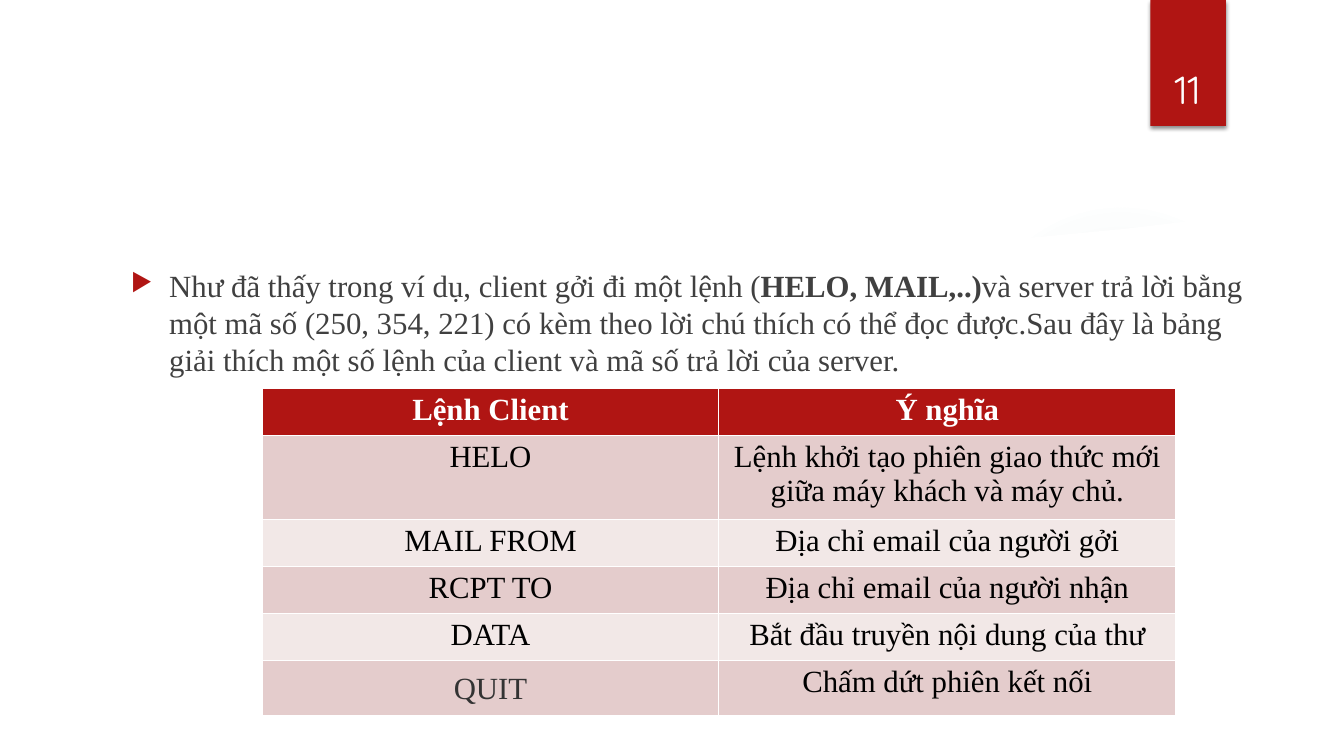
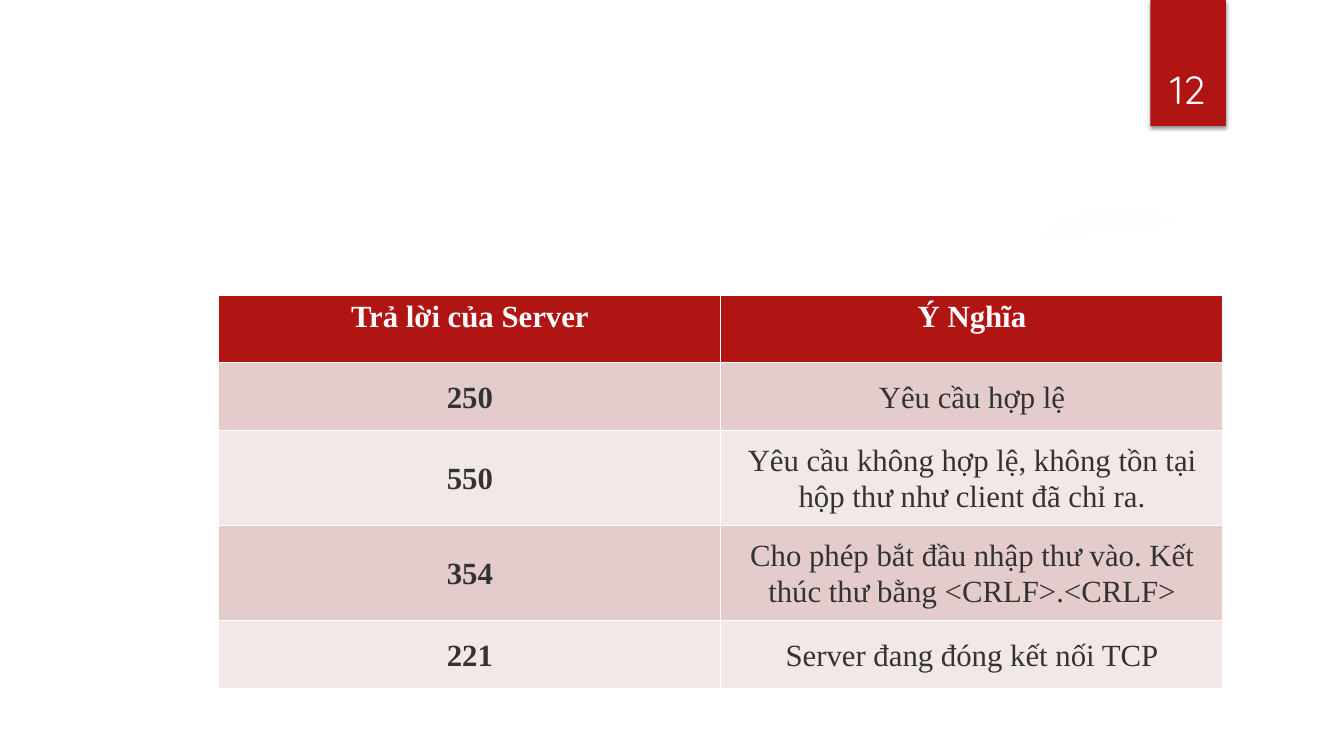
from lxml import etree
from pptx import Presentation
from pptx.dml.color import RGBColor
from pptx.enum.shapes import MSO_SHAPE
from pptx.enum.text import MSO_ANCHOR, PP_ALIGN
from pptx.oxml.ns import qn
from pptx.util import Inches, Pt

RECTANGLE, OVAL = MSO_SHAPE.RECTANGLE, MSO_SHAPE.OVAL
TOP, MIDDLE, BOTTOM = MSO_ANCHOR.TOP, MSO_ANCHOR.MIDDLE, MSO_ANCHOR.BOTTOM
CENTER = PP_ALIGN.CENTER
COLORS = {
    "red": "B01513", "white": "FFFFFF", "black": "000000", "body": "404040",
    "cell": "333333", "band_dark": "E4CCCC", "band_light": "F2E8E7", "glow": "5F9C9D",
}
BODY_FONT, NUMBER_FONT, BULLET_FONT = "Times New Roman", "Quicksand", "Wingdings 3"
TEXT_SIZE, NUMBER_SIZE = 22, 28
WIDTH, HEIGHT, EDGE = 13.33, 7.5, 0.52
GLOWS = [
    (9.58, 2, 3.08, [(0, 7), (36, 6), (69, 0)]),
    (9.58, 6.42, 1.08, [(0, 14), (36, 7), (66, 0)]),
    (0, 2.92, 4.58, [(0, 11), (36, 10), (75, 0)]),
]
SHEEN = [(9.34, 2.5), (10.2, 2.47), (11.5, 2.33), (12.89, 2.14), (12.83, 1.66),
         (12.25, 1.85), (11.67, 2), (11.09, 2.14), (10.53, 2.25), (9.99, 2.34), (9.3, 2.43)]
PANEL = [(0.5, 2.04), (0.5, 7), (12.84, 7), (12.84, 2.04), (12, 2.17), (11.16, 2.27),
         (10.32, 2.35), (9.49, 2.41), (8.67, 2.45), (7.86, 2.47), (7.08, 2.48),
         (6.32, 2.47), (5.59, 2.46), (4.88, 2.43), (4.01, 2.38), (3.21, 2.33),
         (2.49, 2.27), (1.87, 2.21), (1.35, 2.15), (0.94, 2.1)]
FRAME_OUTER = [(0, 0), (0, HEIGHT), (WIDTH, HEIGHT), (WIDTH, 0)]
FRAME_INNER = [(WIDTH - EDGE, HEIGHT - EDGE), (EDGE, HEIGHT - EDGE),
               (EDGE, EDGE), (WIDTH - EDGE, EDGE)]


def add_node(parent, tag, **attributes):
    return etree.SubElement(parent, qn(tag), attributes)


def add_color(parent, color, opacity=100):
    node = add_node(parent, "a:srgbClr", val=COLORS[color])
    if opacity < 100:
        add_node(node, "a:alpha", val=str(opacity * 1000))


class Deck:
    def __init__(self):
        self.presentation = Presentation()
        self.presentation.slide_width = Inches(WIDTH)
        self.presentation.slide_height = Inches(HEIGHT)
        self.slide = None

    def add_slide(self, number):
        self.slide = self.presentation.slides.add_slide(self.presentation.slide_layouts[6])
        for glow in GLOWS:
            self.add_glow(*glow)
        self.add_outline([SHEEN], 20)
        self.add_outline([PANEL])
        self.add_outline([FRAME_OUTER, FRAME_INNER])
        self.add_number_tab(number)

    def paint(self, shape, color):
        shape.shadow.inherit = False
        shape.fill.solid()
        shape.fill.fore_color.rgb = RGBColor.from_string(COLORS[color])
        shape.line.fill.background()

    def style_run(self, run, color, bold=False, size=TEXT_SIZE, font=BODY_FONT):
        run.font.name = font
        run.font.size = Pt(size)
        run.font.bold = bold
        run.font.color.rgb = RGBColor.from_string(COLORS[color])

    def add_glow(self, left, top, size, stops):
        glow = self.slide.shapes.add_shape(
            OVAL, Inches(left), Inches(top), Inches(size), Inches(size))
        glow.shadow.inherit = False
        glow.line.fill.background()
        glow.fill.gradient()
        gradient = glow._element.spPr.find(qn("a:gradFill"))
        for child in list(gradient):
            gradient.remove(child)
        stop_list = add_node(gradient, "a:gsLst")
        for position, opacity in stops:
            stop = add_node(stop_list, "a:gs", pos=str(position * 1000))
            add_color(stop, "glow", opacity)
        circle = add_node(gradient, "a:path", path="circle")
        add_node(circle, "a:fillToRect", l="50000", t="50000", r="50000", b="50000")

    def add_outline(self, contours, opacity=100):
        scaled = [[(Inches(x), Inches(y)) for x, y in contour] for contour in contours]
        builder = self.slide.shapes.build_freeform(*scaled[0][0])
        builder.add_line_segments(scaled[0][1:])
        for contour in scaled[1:]:
            builder.move_to(*contour[0])
            builder.add_line_segments(contour[1:])
        outline = builder.convert_to_shape()
        self.paint(outline, "white")
        if opacity < 100:
            fill = outline._element.spPr.find(qn("a:solidFill"))
            add_node(fill[0], "a:alpha", val=str(opacity * 1000))

    def add_number_tab(self, number):
        tab = self.slide.shapes.add_shape(
            RECTANGLE, Inches(11.41), 0, Inches(0.75), Inches(1.25))
        self.paint(tab, "red")
        effects = tab._element.spPr.find(qn("a:effectLst"))
        shadow = add_node(effects, "a:outerShdw", blurRad=str(Pt(3)), dist=str(Pt(2)),
                          dir="5400000", algn="t", rotWithShape="0")
        add_color(shadow, "black", 45)
        frame = self.add_frame(11.32, 0.32, 0.92, 0.84)
        frame.vertical_anchor = BOTTOM
        frame.text = str(number)
        paragraph = frame.paragraphs[0]
        paragraph.alignment = CENTER
        self.style_run(paragraph.runs[0], "white", size=NUMBER_SIZE, font=NUMBER_FONT)

    def add_frame(self, left, top, width, height):
        box = self.slide.shapes.add_textbox(
            Inches(left), Inches(top), Inches(width), Inches(height))
        box.text_frame.word_wrap = True
        return box.text_frame

    def add_bullet(self, left, top, width, height, parts):
        paragraph = self.add_frame(left, top, width, height).paragraphs[0]
        paragraph.space_before = Pt(10)
        properties = paragraph._p.get_or_add_pPr()
        properties.set("marL", str(Inches(0.38)))
        properties.set("indent", str(Inches(-0.38)))
        add_color(add_node(properties, "a:buClr"), "red")
        add_node(properties, "a:buSzPct", val="80000")
        add_node(properties, "a:buFont", typeface=BULLET_FONT, charset="2")
        add_node(properties, "a:buChar", char="\uf075")
        for text, bold in parts:
            run = paragraph.add_run()
            run.text = text
            self.style_run(run, "body", bold)

    def fill_cell(self, cell, text, row, color, bold, padded):
        band = "red" if row == 0 else "band_dark" if row % 2 else "band_light"
        cell.fill.solid()
        cell.fill.fore_color.rgb = RGBColor.from_string(COLORS[band])
        cell.text_frame.text = text
        paragraph = cell.text_frame.paragraphs[0]
        paragraph.alignment = CENTER
        cell.vertical_anchor = MIDDLE if padded else TOP
        if padded:
            cell.margin_left = cell.margin_right = Inches(0.08)
            cell.margin_top = cell.margin_bottom = Inches(0.08)
            paragraph.line_spacing = 1.07
            paragraph.space_after = Pt(8)
        self.style_run(paragraph.runs[0], color, bold)

    def add_table(self, left, top, column_width, heights, rows, padded, bold_keys=False):
        table = self.slide.shapes.add_table(
            len(rows), 2, Inches(left), Inches(top),
            Inches(2 * column_width), Inches(sum(heights))).table
        for column in table.columns:
            column.width = Inches(column_width)
        for r, (texts, height) in enumerate(zip(rows, heights)):
            table.rows[r].height = Inches(height)
            for c, text in enumerate(texts):
                roomy = (r, c) in padded
                color = "white" if r == 0 else "cell" if roomy else "black"
                bold = r == 0 or (bold_keys and c == 0)
                self.fill_cell(table.cell(r, c), text, r, color, bold, roomy)


commands = [
    ("Lệnh Client", "Ý nghĩa"),
    ("HELO", "Lệnh khởi tạo phiên giao thức mới giữa máy khách và máy chủ."),
    ("MAIL FROM", "Địa chỉ email của người gởi"),
    ("RCPT TO", "Địa chỉ email của người nhận"),
    ("DATA", "Bắt đầu truyền nội dung của thư"),
    ("QUIT", "Chấm dứt phiên kết nối"),
]
replies = [
    ("Trả lời của Server", "Ý Nghĩa"),
    ("250", "Yêu cầu hợp lệ"),
    ("550", "Yêu cầu không hợp lệ, không tồn tại hộp thư như client đã chỉ ra."),
    ("354", "Cho phép bắt đầu nhập thư vào. Kết thúc thư bằng <CRLF>.<CRLF>"),
    ("221", "Server đang đóng kết nối TCP"),
]

deck = Deck()
deck.add_slide(11)
deck.add_bullet(1.2, 2.6, 11.51, 4.72, [
    ("Như đã thấy trong ví dụ, client gởi đi một lệnh (", False),
    ("HELO, MAIL,..)", True),
    ("và server trả lời bằng một mã số (250, 354, 221) có kèm theo lời chú thích có thể "
     "đọc được.Sau đây là bảng giải thích một số lệnh của client và mã số trả lời của "
     "server.", False),
])
deck.add_table(2.6, 3.85, 4.53, [0.41, 0.41, 0.41, 0.41, 0.36, 0.41], commands, {(5, 0)})

deck.add_slide(12)
reply_cells = {(r, c) for r in range(1, len(replies)) for c in range(2)}
deck.add_table(2.17, 2.93, 4.98, [0.67] * len(replies), replies, reply_cells, bold_keys=True)

deck.presentation.save("out.pptx")
